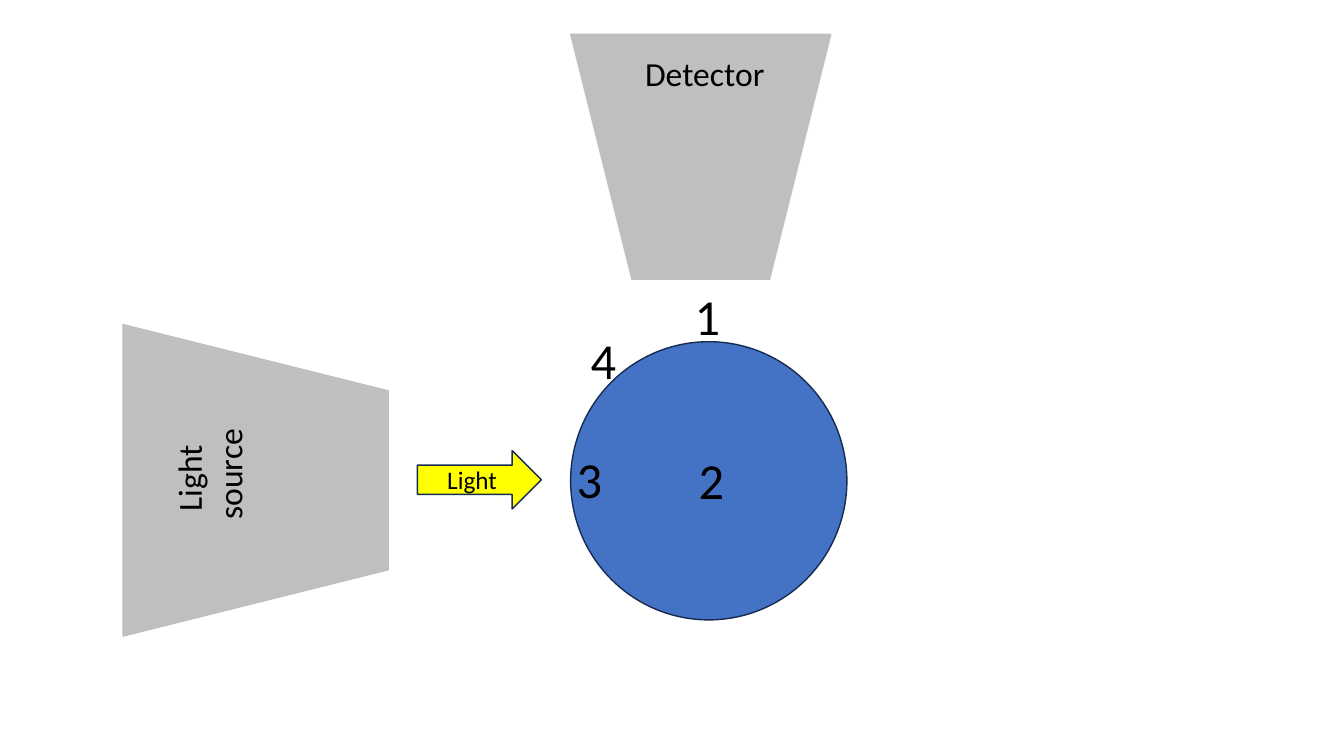
from pptx import Presentation
from pptx.dml.color import RGBColor
from pptx.enum.shapes import MSO_SHAPE
from pptx.enum.text import MSO_ANCHOR, MSO_AUTO_SIZE, PP_ALIGN
from pptx.util import Inches, Pt

GREY, BLUE, YELLOW = "BFBFBF", "4472C4", "FFFF00"
NAVY, BLACK = "172C51", "000000"
FONT = "Calibri"


def color(hex_value):
    return RGBColor.from_string(hex_value)


def write(frame, lines, size, align):
    """Fill a text frame, one paragraph per line."""
    frame.word_wrap = True
    font_format = {"name": FONT, "size": Pt(size)}
    for index, line in enumerate(lines):
        paragraph = frame.paragraphs[0] if index == 0 else frame.add_paragraph()
        paragraph.alignment = align
        run = paragraph.add_run()
        run.text = line
        for attribute, value in font_format.items():
            setattr(run.font, attribute, value)
        run.font.color.rgb = color(BLACK)


def add_part(slide, preset, box, fill, line, rotation=0):
    """Draw one filled part of the setup."""
    part = slide.shapes.add_shape(preset, *map(Inches, box))
    part.rotation = rotation
    part.shadow.inherit = False
    part.fill.solid()
    part.fill.fore_color.rgb = color(fill)
    part.line.color.rgb = color(line)
    part.line.width = Pt(1)
    return part


def add_label(slide, lines, box, size, align=PP_ALIGN.LEFT, rotation=0):
    """Place a free-standing label."""
    label = slide.shapes.add_textbox(*map(Inches, box))
    label.rotation = rotation
    write(label.text_frame, lines, size, align)
    label.text_frame.auto_size = MSO_AUTO_SIZE.SHAPE_TO_FIT_TEXT


def main():
    deck = Presentation()
    deck.slide_width, deck.slide_height = Inches(13.33), Inches(7.5)
    slide = deck.slides.add_slide(deck.slide_layouts[6])

    # Sample, light source and light beam
    add_part(slide, MSO_SHAPE.OVAL, (5.66, 3.39, 2.74, 2.76), BLUE, NAVY)
    add_part(slide, MSO_SHAPE.TRAPEZOID, (0.99, 3.45, 3.09, 2.63), GREY, GREY, 90)
    beam = add_part(slide, MSO_SHAPE.RIGHT_ARROW, (4.14, 4.47, 1.23, 0.58), YELLOW, NAVY)
    write(beam.text_frame, ["Light"], 18, PP_ALIGN.CENTER)
    beam.text_frame.vertical_anchor = MSO_ANCHOR.MIDDLE

    # Numbered positions around the sample
    positions = [(6.79, 2.78), (6.83, 4.41), (5.62, 4.4), (5.76, 3.22)]
    for number, (left, top) in enumerate(positions, start=1):
        add_label(slide, [str(number)], (left, top, 0.74, 0.71), 36)

    # Detector
    add_part(slide, MSO_SHAPE.TRAPEZOID, (5.66, 0.34, 2.58, 2.43), GREY, GREY, 180)
    add_label(slide, ["Detector"], (6.3, 0.48, 2.43, 0.5), 24)

    # Light source caption, reading upwards
    add_label(slide, ["Light ", "source"], (0.86, 4.25, 2.43, 0.91), 24,
              PP_ALIGN.CENTER, 270)

    deck.save("out.pptx")


if __name__ == "__main__":
    main()
